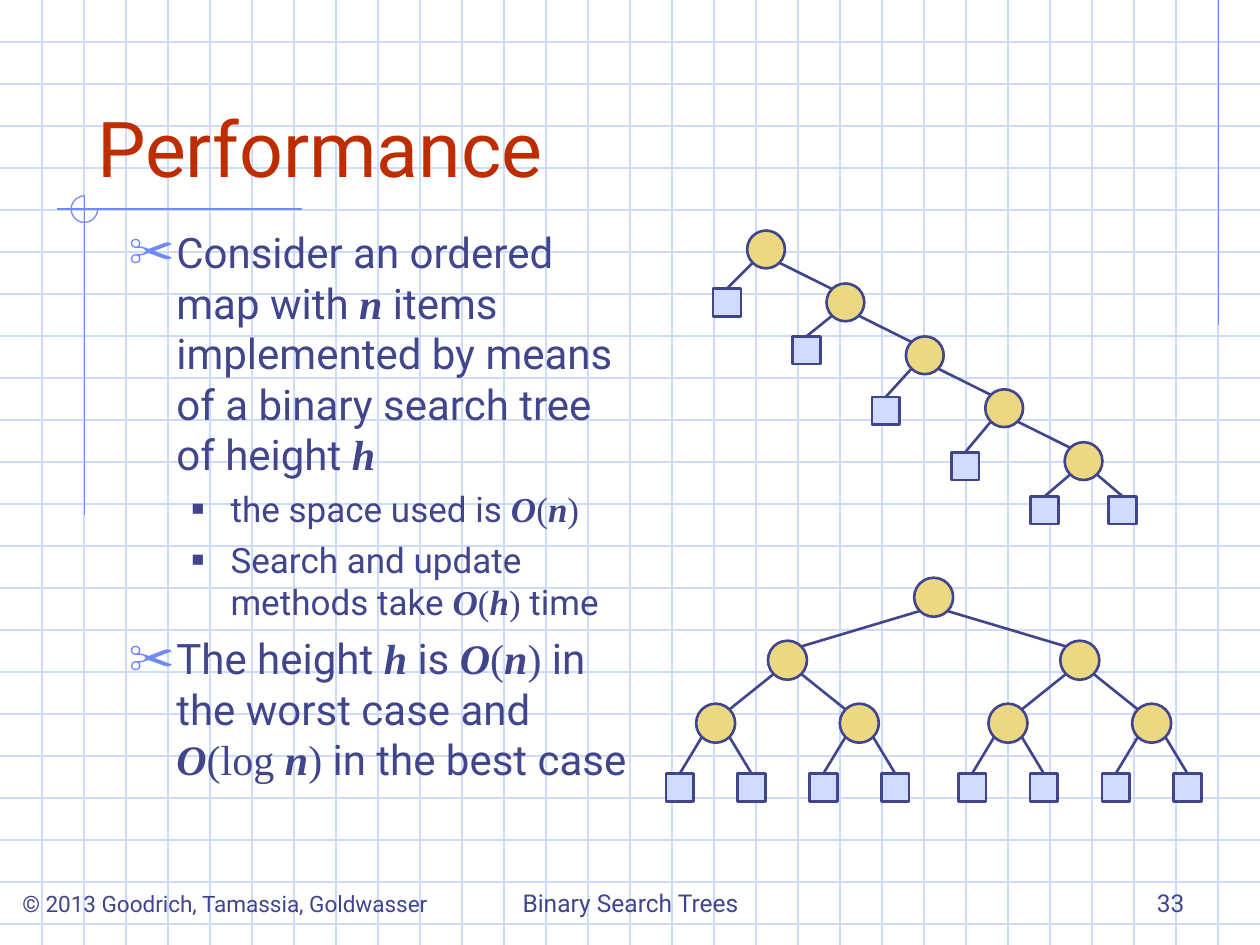
from dataclasses import dataclass, field
from math import sqrt
from typing import NamedTuple

from lxml.etree import SubElement
from pptx import Presentation
from pptx.dml.color import RGBColor
from pptx.enum.shapes import MSO_CONNECTOR as Connector, MSO_SHAPE as Preset
from pptx.enum.text import MSO_ANCHOR as Anchor, MSO_AUTO_SIZE as AutoSize, PP_ALIGN as Align
from pptx.oxml.ns import qn
from pptx.util import Inches, Pt

GRID = RGBColor(0xCF, 0xDB, 0xFD)
ACCENT = RGBColor(0x6F, 0x89, 0xF7)
INK = RGBColor(0x40, 0x45, 0x8C)
TITLE = RGBColor(0xBE, 0x2D, 0x00)
NODE_FILL = RGBColor(0xEC, 0xD8, 0x82)

PLAIN = {"name": "Roboto", "bold": False, "italic": False}
SYMBOL = {"name": "Times New Roman", "bold": False, "italic": False}
VARIABLE = {"name": "Times New Roman", "bold": True, "italic": True}


class Run(NamedTuple):
    text: str
    style: dict = PLAIN


class Bullet(NamedTuple):
    char: str
    color: RGBColor
    percent: int
    margin: float
    hanging: float
    size: int
    before: int


class Item(NamedTuple):
    level: int
    runs: list


class Footer(NamedTuple):
    text: str
    left: float
    width: float
    align: Align
    size: float = 14


@dataclass
class Node:
    """Tree node by its centre; without children it is a square leaf."""
    x: float
    y: float
    children: list = field(default_factory=list)


@dataclass
class TreeStyle:
    diameter: float
    leaf: float


BULLETS = [Bullet("✂", ACCENT, 110, 0.38, 0.38, 24, 6),
           Bullet("■", INK, 60, 0.81, 0.31, 20, 5)]


def big_o(argument: str, prefix: str = "") -> list:
    return [Run("O", VARIABLE), Run("(" + prefix, SYMBOL),
            Run(argument, VARIABLE), Run(")", SYMBOL)]


ITEMS = [
    Item(0, [Run("Consider an ordered map with "), Run("n", VARIABLE),
             Run(" items implemented by means of a binary search tree of height "),
             Run("h", VARIABLE)]),
    Item(1, [Run("the space used is "), *big_o("n")]),
    Item(1, [Run("Search and update methods take "), *big_o("h"), Run(" time")]),
    Item(0, [Run("The height "), Run("h", VARIABLE), Run(" is "), *big_o("n"),
             Run(" in the worst case and "), *big_o("n", "log "), Run(" in the best case")]),
]
FOOTERS = [
    Footer("Binary Search Trees", 3.42, 3.17, Align.CENTER),
    Footer("33", 7.17, 2.33, Align.RIGHT),
    Footer("© 2013 Goodrich, Tamassia, Goldwasser", 0.08, 3.83, Align.LEFT, 12.9),
]


def add_line(slide, start: tuple, end: tuple, color: RGBColor, width: float = 0.75):
    line = slide.shapes.add_connector(
        Connector.STRAIGHT, *(Inches(value) for value in (*start, *end)))
    line.line.color.rgb = color
    line.line.width = Pt(width)
    SubElement(line._element.spPr, qn("a:effectLst"))
    return line


def add_shape(slide, preset: Preset, x: float, y: float, size: float,
              fill: RGBColor | None, color: RGBColor, width: float):
    """Draw a square-bounded shape centred on x, y."""
    shape = slide.shapes.add_shape(preset, Inches(x - size / 2), Inches(y - size / 2),
                                   Inches(size), Inches(size))
    shape.shadow.inherit = False
    if fill is None:
        shape.fill.background()
    else:
        shape.fill.solid()
        shape.fill.fore_color.rgb = fill
    shape.line.color.rgb = color
    shape.line.width = Pt(width)
    return shape


def add_tree(slide, node: Node, style: TreeStyle):
    if not node.children:
        return add_shape(slide, Preset.RECTANGLE, node.x, node.y, style.leaf, GRID, INK, 1.5)
    circle = add_shape(slide, Preset.OVAL, node.x, node.y, style.diameter, NODE_FILL, INK, 1.5)
    diagonal = style.diameter / 2 / sqrt(2)
    for child in node.children:
        side = diagonal if child.x > node.x else -diagonal
        shape = add_tree(slide, child, style)
        edge = add_line(slide, (node.x + side, node.y + diagonal),
                        (child.x - side, child.y - diagonal), INK, 1.5)
        if not child.children:
            edge.end_connect(shape, 0)
    return circle


def linear_tree(x: float, y: float, leaf_rows: list) -> Node:
    """Chain of right children, each with a left leaf at the given height."""
    row, *rest = leaf_rows
    right = linear_tree(x + 0.63, y + 0.42, rest) if rest else Node(x + 0.31, row)
    return Node(x, y, [Node(x - 0.31, row), right])


def balanced_tree(x: float, y: float, offsets: list) -> Node:
    if not offsets:
        return Node(x, y)
    (dx, dy), *rest = offsets
    return Node(x, y, [balanced_tree(x + sign * dx, y + dy, rest) for sign in (-1, 1)])


def add_runs(paragraph, runs: list, size: float, color: RGBColor) -> None:
    for text, style in runs:
        run = paragraph.add_run()
        run.text = text
        for name, value in {**style, "size": Pt(size)}.items():
            setattr(run.font, name, value)
        run.font.color.rgb = color


def set_bullet(paragraph, bullet: Bullet) -> None:
    paragraph.space_before = Pt(bullet.before)
    properties = paragraph._p.get_or_add_pPr()
    properties.set("marL", str(Inches(bullet.margin)))
    properties.set("indent", str(-Inches(bullet.hanging)))
    color = SubElement(properties, qn("a:buClr"))
    SubElement(color, qn("a:srgbClr"), val=str(bullet.color))
    SubElement(properties, qn("a:buSzPct"), val=str(bullet.percent * 1000))
    SubElement(properties, qn("a:buChar"), char=bullet.char)


def set_frame(shape, box: tuple, anchor: Anchor):
    for name, value in zip(("left", "top", "width", "height"), box):
        setattr(shape, name, Inches(value))
    frame = shape.text_frame
    for name, value in {"word_wrap": True, "auto_size": AutoSize.NONE,
                        "vertical_anchor": anchor}.items():
        setattr(frame, name, value)
    return frame


def main() -> None:
    presentation = Presentation()
    presentation.slide_width, presentation.slide_height = Inches(10), Inches(7.5)
    slide = presentation.slides.add_slide(presentation.slide_layouts[1])
    title, body = slide.placeholders

    # Grid paper and corner marks
    for row in range(1, 23):
        add_line(slide, (0, row / 3), (10, row / 3), GRID)
    for column in range(1, 30):
        add_line(slide, (column / 3, 0), (column / 3, 7.5), GRID)
    for start, end in [((9.67, 0), (9.67, 2.58)), ((2.4, 1.66), (0.45, 1.66)),
                       ((0.67, 1.55), (0.67, 4.09))]:
        add_line(slide, start, end, ACCENT)
    arc = add_shape(slide, Preset.ARC, 0.67, 1.66, 0.21, None, ACCENT, 0.75)
    arc.adjustments[0] = 0
    arc.adjustments[1] = 270 * 0.6  # 60000 units a degree, scaled by 100000

    # Title and list, raised above the grid
    for placeholder in (title, body):
        slide.shapes._spTree.append(placeholder._element)
    paragraph = set_frame(title, (0.67, 0.33, 8.75, 1.25), Anchor.BOTTOM).paragraphs[0]
    paragraph.alignment = Align.LEFT
    add_runs(paragraph, [Run("Performance")], 44, TITLE)
    frame = set_frame(body, (0.92, 1.75, 4.17, 5.08), Anchor.TOP)
    for index, item in enumerate(ITEMS):
        paragraph = frame.add_paragraph() if index else frame.paragraphs[0]
        paragraph.level = item.level
        set_bullet(paragraph, BULLETS[item.level])
        add_runs(paragraph, item.runs, BULLETS[item.level].size, INK)

    # Worst-case and best-case trees
    add_tree(slide, linear_tree(6.08, 1.98, [2.4, 2.78, 3.26, 3.7, 4.05]),
             TreeStyle(0.3, 0.22))
    add_tree(slide, balanced_tree(7.41, 4.74, [(1.16, 0.5), (0.57, 0.5), (0.285, 0.51)]),
             TreeStyle(0.31, 0.22))

    # Footer texts
    for footer in FOOTERS:
        box = slide.shapes.add_textbox(0, 0, 0, 0)
        frame = set_frame(box, (footer.left, 6.83, footer.width, 0.5), Anchor.BOTTOM)
        frame.paragraphs[0].alignment = footer.align
        add_runs(frame.paragraphs[0], [Run(footer.text)], footer.size, INK)

    presentation.save("out.pptx")


if __name__ == "__main__":
    main()
